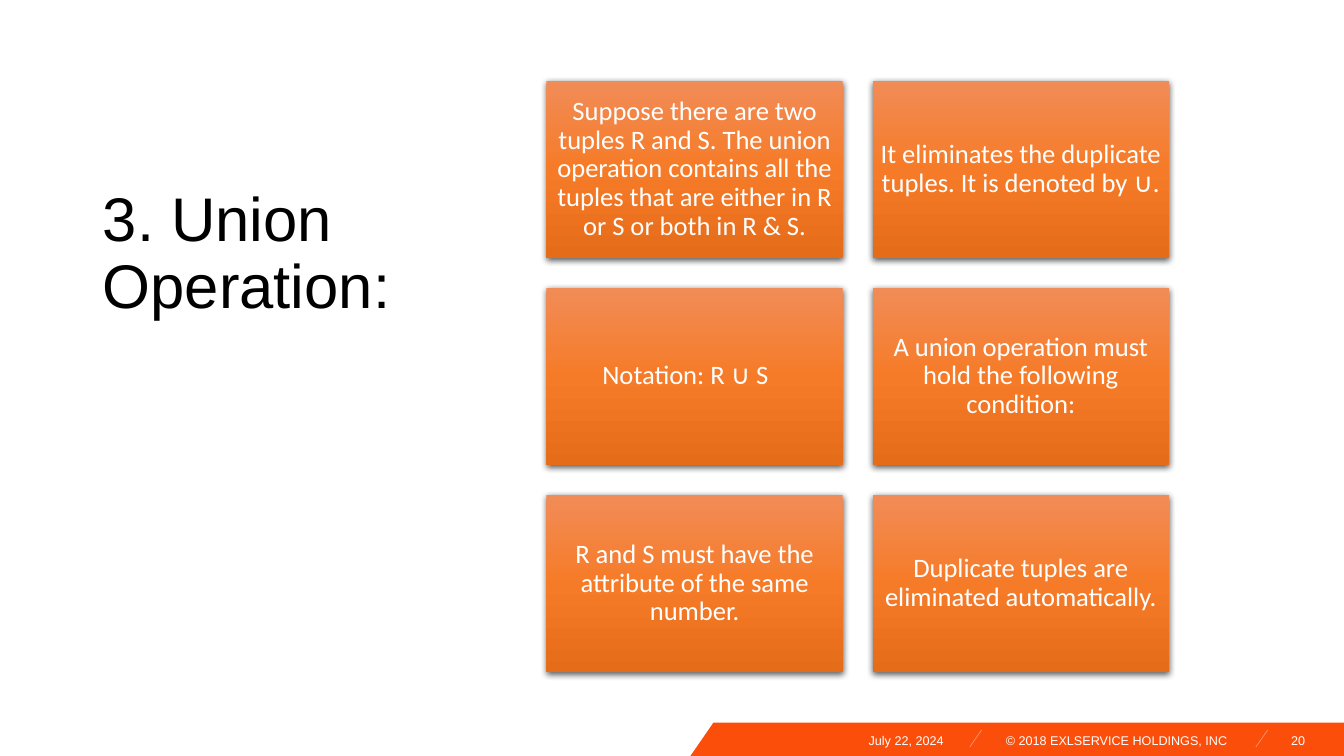
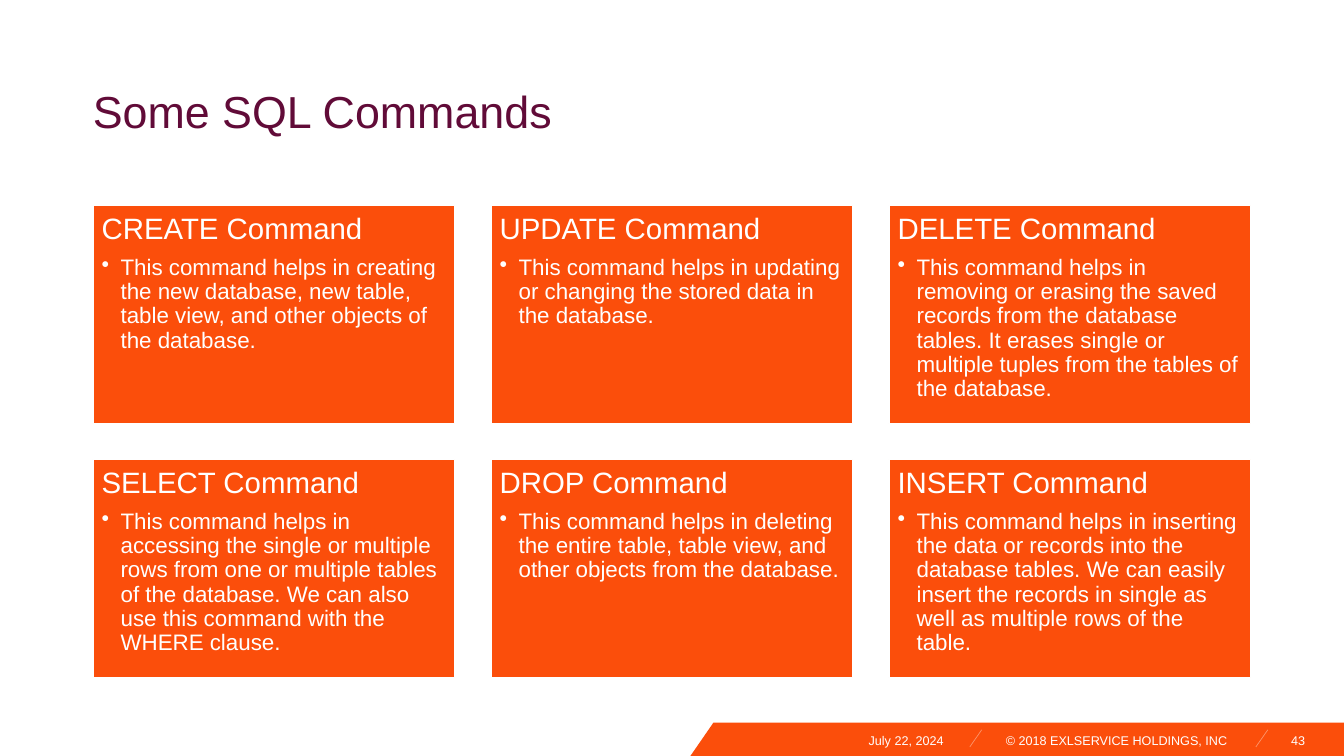
from dataclasses import dataclass

import lxml.etree
import pptx
import pptx.dml.color
import pptx.enum.shapes
import pptx.enum.text
import pptx.oxml.ns
import pptx.presentation
import pptx.shapes.autoshape
import pptx.slide
import pptx.text.text
import pptx.util

Cm = pptx.util.Cm
Pt = pptx.util.Pt
RGBColor = pptx.dml.color.RGBColor
ALIGN = pptx.enum.text.PP_ALIGN
ANCHOR = pptx.enum.text.MSO_ANCHOR
qn = pptx.oxml.ns.qn

WHITE = RGBColor(0xFF, 0xFF, 0xFF)
BLACK = RGBColor(0x00, 0x00, 0x00)
ORANGE = RGBColor(0xFB, 0x4E, 0x0B)
PALE_ORANGE = RGBColor(0xFC, 0x94, 0x6B)
PLUM = RGBColor(0x61, 0x0B, 0x38)
TILE_GRADIENT = (
    (0, RGBColor(0xF1, 0x8C, 0x57)),
    (50, RGBColor(0xF6, 0x7B, 0x28)),
    (100, RGBColor(0xE5, 0x6C, 0x19)),
)
PAGE_WIDTH = 33.87
PAGE_HEIGHT = 19.05
LINE_SPACING = 0.9


@dataclass(frozen=True)
class Box:
    left: float
    top: float
    width: float
    height: float

    def lengths(self) -> tuple[int, int, int, int]:
        return Cm(self.left), Cm(self.top), Cm(self.width), Cm(self.height)


@dataclass(frozen=True)
class Grid:
    first: Box
    columns: int
    gap: float

    def cell(self, index: int) -> Box:
        row, column = divmod(index, self.columns)
        return Box(
            self.first.left + column * (self.first.width + self.gap),
            self.first.top + row * (self.first.height + self.gap),
            self.first.width,
            self.first.height,
        )


@dataclass(frozen=True)
class TitleStyle:
    box: Box
    size: int
    color: RGBColor
    anchor: ANCHOR
    margins: tuple[float, float]


@dataclass(frozen=True)
class FooterItem:
    text: str
    box: Box
    align: ALIGN


@dataclass(frozen=True)
class Tile:
    text: str
    extra_right: float = 0


@dataclass(frozen=True)
class Card:
    heading: str
    body: str


SIDE_TITLE = TitleStyle(Box(2.34, 4.62, 10.87, 8), 44, BLACK, ANCHOR.TOP, (0.25, 0.13))
TOP_TITLE = TitleStyle(Box(2.34, 1.02, 29.21, 3.68), 32, PLUM, ANCHOR.MIDDLE, (0, 0))
TILE_GRID = Grid(Box(13.77, 2.03, 7.47, 4.47), 2, 0.75)
CARD_GRID = Grid(Box(2.34, 5.18, 9.12, 5.49), 3, 0.91)

TILES = (
    Tile("Suppose there are two tuples R and S. The union operation contains all the "
         "tuples that are either in R or S or both in R & S."),
    Tile("It eliminates the duplicate tuples. It is denoted by ∪."),
    Tile("Notation: R ∪ S", extra_right=0.46),
    Tile("A union operation must hold the following condition:"),
    Tile("R and S must have the attribute of the same number."),
    Tile("Duplicate tuples are eliminated automatically."),
)
CARDS = (
    Card("CREATE Command",
         "This command helps in creating the new database, new table, table view, "
         "and other objects of the database."),
    Card("UPDATE Command",
         "This command helps in updating or changing the stored data in the database."),
    Card("DELETE Command",
         "This command helps in removing or erasing the saved records from the database "
         "tables. It erases single or multiple tuples from the tables of the database."),
    Card("SELECT Command",
         "This command helps in accessing the single or multiple rows from one or multiple "
         "tables of the database. We can also use this command with the WHERE clause."),
    Card("DROP Command",
         "This command helps in deleting the entire table, table view, and other objects "
         "from the database."),
    Card("INSERT Command",
         "This command helps in inserting the data or records into the database tables. "
         "We can easily insert the records in single as well as multiple rows of the table."),
)


def set_margins(frame: pptx.text.text.TextFrame, across: float, down: float) -> None:
    frame.margin_left = frame.margin_right = Cm(across)
    frame.margin_top = frame.margin_bottom = Cm(down)


def format_para(
    para: pptx.text.text._Paragraph,
    size: int,
    color: RGBColor = WHITE,
    name: str = "Arial",
    align: ALIGN = ALIGN.LEFT,
    spacing: float = LINE_SPACING,
) -> None:
    para.alignment = align
    para.line_spacing = spacing
    para.space_before = Pt(0)
    para.font.size = Pt(size)
    para.font.name = name
    para.font.color.rgb = color


def add_bullet(para: pptx.text.text._Paragraph, indent: float) -> None:
    properties = para._p.get_or_add_pPr()
    properties.set("marL", str(Cm(indent)))
    properties.set("indent", str(-Cm(indent)))
    lxml.etree.SubElement(properties, qn("a:buChar")).set("char", "•")


def add_color(parent: lxml.etree._Element, color: RGBColor) -> lxml.etree._Element:
    element = lxml.etree.SubElement(parent, qn("a:srgbClr"))
    element.set("val", str(color))
    return element


def add_rectangle(page: pptx.slide.Slide, box: Box) -> pptx.shapes.autoshape.Shape:
    shape = page.shapes.add_shape(
        pptx.enum.shapes.MSO_SHAPE.RECTANGLE, *box.lengths()
    )
    shape.shadow.inherit = False
    shape.text_frame.word_wrap = True
    return shape


def fill_gradient(shape: pptx.shapes.autoshape.Shape) -> None:
    shape.fill.gradient()
    shape.fill.gradient_angle = 270
    stops = shape._element.spPr.find(".//" + qn("a:gsLst"))
    for stop in list(stops):
        stops.remove(stop)
    for position, color in TILE_GRADIENT:
        stop = lxml.etree.SubElement(stops, qn("a:gs"))
        stop.set("pos", str(position * 1000))
        add_color(stop, color)


def cast_shadow(shape: pptx.shapes.autoshape.Shape) -> None:
    effects = shape._element.spPr.find(qn("a:effectLst"))
    shadow = lxml.etree.SubElement(effects, qn("a:outerShdw"))
    shadow.set("blurRad", str(Pt(4.5)))
    shadow.set("dist", str(Pt(1.5)))
    shadow.set("dir", "5400000")
    shadow.set("algn", "ctr")
    shadow.set("rotWithShape", "0")
    alpha = lxml.etree.SubElement(add_color(shadow, BLACK), qn("a:alpha"))
    alpha.set("val", "63000")


def add_tile(page: pptx.slide.Slide, tile: Tile, box: Box) -> None:
    shape = add_rectangle(page, box)
    fill_gradient(shape)
    shape.line.fill.background()
    cast_shadow(shape)
    frame = shape.text_frame
    frame.vertical_anchor = ANCHOR.MIDDLE
    set_margins(frame, 0.2, 0.2)
    frame.margin_right = Cm(0.2 + tile.extra_right)
    frame.text = tile.text
    format_para(frame.paragraphs[0], 19, name="Calibri", align=ALIGN.CENTER)


def add_card(page: pptx.slide.Slide, card: Card, box: Box) -> None:
    shape = add_rectangle(page, box)
    shape.fill.solid()
    shape.fill.fore_color.rgb = ORANGE
    shape.line.color.rgb = WHITE
    shape.line.width = Pt(1)
    frame = shape.text_frame
    frame.vertical_anchor = ANCHOR.TOP
    set_margins(frame, 0.22, 0.22)
    heading = frame.paragraphs[0]
    heading.text = card.heading
    format_para(heading, 21)
    heading.space_after = Pt(7.35)
    body = frame.add_paragraph()
    body.text = card.body
    body.level = 1
    add_bullet(body, 0.48)
    format_para(body, 16)


def add_footer(page: pptx.slide.Slide, number: str) -> None:
    builder = page.shapes.build_freeform(Cm(17.98), Cm(18.21))
    corners = ((PAGE_WIDTH, 18.21), (PAGE_WIDTH, PAGE_HEIGHT), (17.4, PAGE_HEIGHT))
    builder.add_line_segments([(Cm(x), Cm(y)) for x, y in corners])
    band = builder.convert_to_shape()
    band.shadow.inherit = False
    band.fill.solid()
    band.fill.fore_color.rgb = ORANGE
    band.line.fill.background()
    for right in (24.74, 31.95):
        slash = page.shapes.add_connector(
            pptx.enum.shapes.MSO_CONNECTOR.STRAIGHT,
            Cm(right), Cm(18.39), Cm(right - 0.3), Cm(18.82),
        )
        slash.line.color.rgb = PALE_ORANGE
        slash.line.width = Pt(0.5)
        lxml.etree.SubElement(slash._element.spPr, qn("a:effectLst"))
    items = (
        FooterItem("July 22, 2024", Box(18.01, 18.47, 5.77, 0.38), ALIGN.RIGHT),
        FooterItem("© 2018 EXLSERVICE HOLDINGS, INC", Box(25.35, 18.47, 5.77, 0.38), ALIGN.LEFT),
        FooterItem(number, Box(31.95, 18.47, 0.94, 0.38), ALIGN.RIGHT),
    )
    for item in items:
        frame = page.shapes.add_textbox(*item.box.lengths()).text_frame
        frame.word_wrap = True
        set_margins(frame, 0, 0)
        frame.text = item.text
        format_para(frame.paragraphs[0], 9, align=item.align, spacing=1.0)


def add_page(
    deck: pptx.presentation.Presentation, text: str, style: TitleStyle, number: str
) -> pptx.slide.Slide:
    page = deck.slides.add_slide(deck.slide_layouts.get_by_name("Title Only"))
    add_footer(page, number)
    title = page.shapes.title
    title.left, title.top, title.width, title.height = style.box.lengths()
    frame = title.text_frame
    frame.text = text
    frame.word_wrap = True
    frame.auto_size = pptx.enum.text.MSO_AUTO_SIZE.NONE
    frame.vertical_anchor = style.anchor
    set_margins(frame, *style.margins)
    format_para(frame.paragraphs[0], style.size, style.color)
    return page


def main() -> None:
    deck = pptx.Presentation()
    deck.slide_width = Cm(PAGE_WIDTH)
    deck.slide_height = Cm(PAGE_HEIGHT)
    union_page = add_page(deck, "3. Union Operation:", SIDE_TITLE, "20")
    for index, tile in enumerate(TILES):
        add_tile(union_page, tile, TILE_GRID.cell(index))
    commands_page = add_page(deck, "Some SQL Commands", TOP_TITLE, "43")
    for index, card in enumerate(CARDS):
        add_card(commands_page, card, CARD_GRID.cell(index))
    deck.save("out.pptx")


if __name__ == "__main__":
    main()
